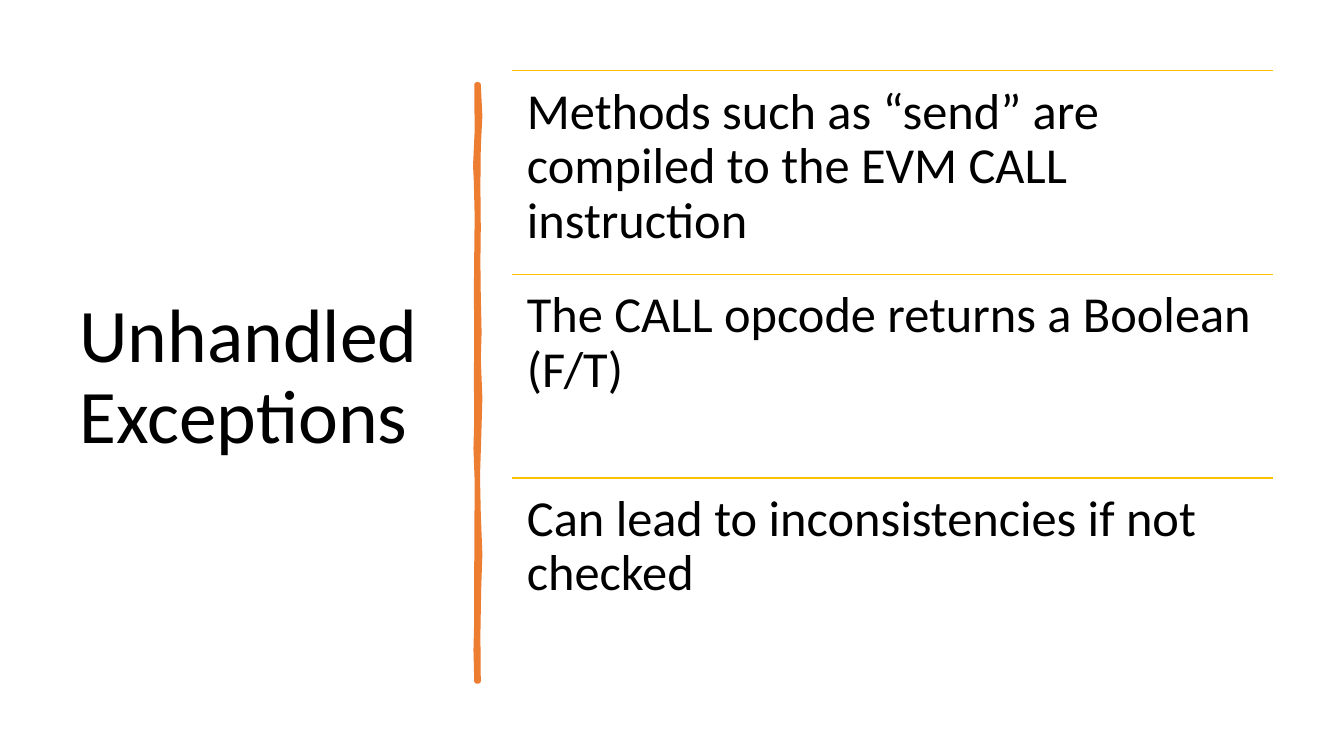
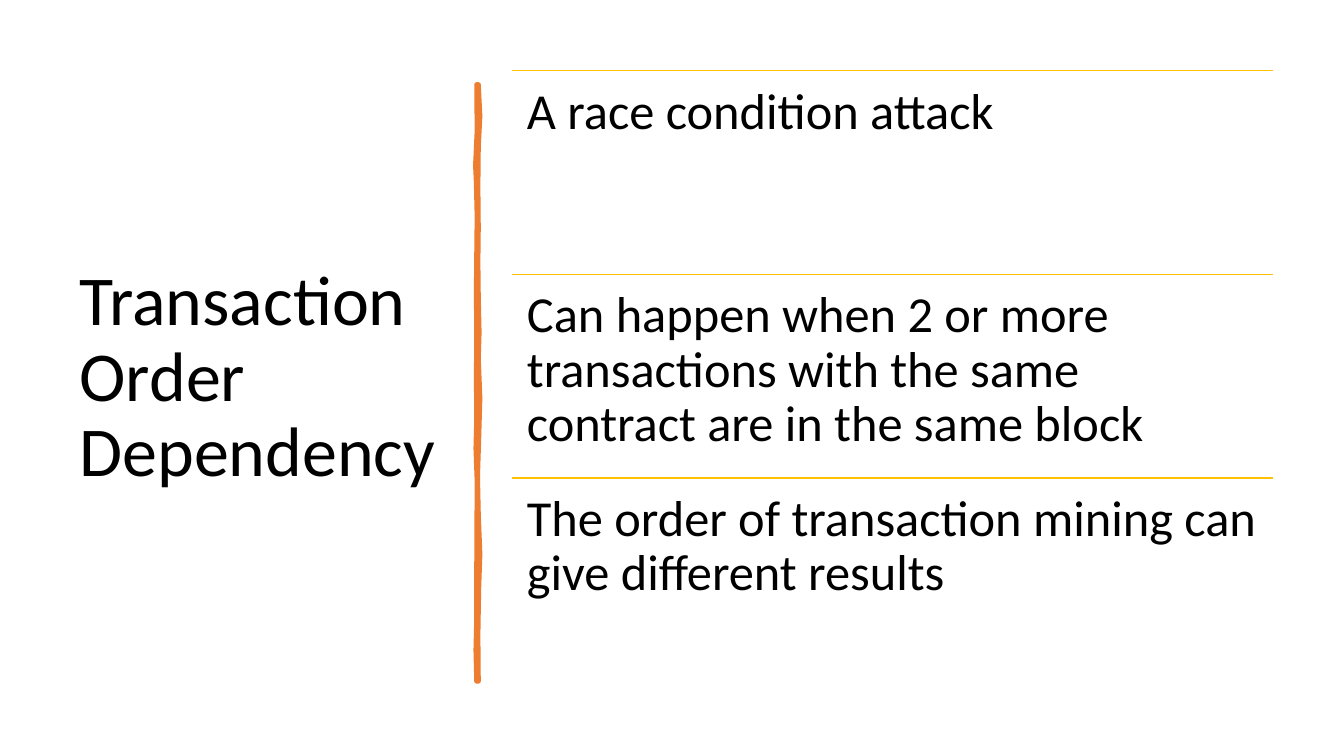
"""Build two slides on smart contract flaws: a title, a brushed divider and three ruled points."""
from lxml.etree import SubElement
from pptx import Presentation
from pptx.dml.color import RGBColor
from pptx.enum.shapes import MSO_CONNECTOR
from pptx.enum.text import MSO_ANCHOR, MSO_AUTO_SIZE, PP_ALIGN
from pptx.oxml.ns import qn
from pptx.util import Cm, Pt

FONT = "Calibri"
BLACK, ORANGE, GOLD = "000000", "ED7D31", "FFC000"
TOP, POINT_LEFT, POINT_WIDTH, POINT_HEIGHT = 1.78, 12.9, 19.18, 5.13
INSET = Cm(0.38)

DIVIDER_RIGHT = [
    (12.06, 2.13), (12.1, 2.92), (12.06, 3.71), (12.05, 4.7), (12.06, 5.74),
    (12.05, 6.6), (12.06, 7.47), (12.08, 8.38), (12.06, 9.04), (12.1, 10.03),
    (12.07, 11.07), (12.04, 12), (12.06, 12.95), (12.1, 13.97), (12.07, 14.83),
    (12.05, 16), (12.06, 17.17),
]
DIVIDER_LEFT = [
    (12.01, 17.17), (11.99, 16.38), (12.01, 15.57), (12.01, 14.15), (12.02, 12.12),
    (11.99, 11.3), (12.01, 10.54), (12, 9.5), (12.01, 8.51), (12, 7.37),
    (12.01, 6.35), (12.02, 5.46), (12, 4.6), (11.98, 4.17), (12.02, 3.3),
    (12.01, 2.13),
]

SLIDES = [
    ("Unhandled Exceptions", 54, [
        "Methods such as “send” are compiled to the EVM CALL instruction",
        "The CALL opcode returns a Boolean (F/T)",
        "Can lead to inconsistencies if not checked",
    ]),
    ("Transaction Order Dependency", 50, [
        "A race condition attack",
        "Can happen when 2 or more transactions with the same contract are in the same block",
        "The order of transaction mining can give different results",
    ]),
]


def color(hex_string):
    return RGBColor.from_string(hex_string)


def write(frame, text, size, anchor):
    frame.word_wrap = True
    frame.auto_size = MSO_AUTO_SIZE.NONE
    frame.vertical_anchor = anchor
    para = frame.paragraphs[0]
    para.alignment = PP_ALIGN.LEFT
    para.line_spacing = 0.9
    span = para.add_run()
    span.text = text
    span.font.name = FONT
    span.font.size = Pt(size)
    span.font.color.rgb = color(BLACK)


deck = Presentation()
deck.slide_width, deck.slide_height = Cm(33.87), Cm(19.05)

for heading, heading_size, points in SLIDES:
    page = deck.slides.add_slide(deck.slide_layouts[5])

    title = page.shapes.title
    title.left, title.top, title.width, title.height = Cm(1.75), Cm(TOP), Cm(9.5), Cm(15.52)
    write(title.text_frame, heading, heading_size, MSO_ANCHOR.MIDDLE)

    outline = [(Cm(x), Cm(y)) for x, y in DIVIDER_RIGHT + DIVIDER_LEFT]
    builder = page.shapes.build_freeform(*outline[0])
    builder.add_line_segments(outline[1:], close=True)
    divider = builder.convert_to_shape()
    divider.shadow.inherit = False
    divider.fill.solid()
    divider.fill.fore_color.rgb = color(ORANGE)
    divider.line.color.rgb = color(ORANGE)
    divider.line.width = Pt(3.25)
    SubElement(divider.line._get_or_add_ln(), qn("a:round"))

    for row, point in enumerate(points):
        top = Cm(TOP + row * POINT_HEIGHT)
        rule = page.shapes.add_connector(
            MSO_CONNECTOR.STRAIGHT, Cm(POINT_LEFT), top, Cm(POINT_LEFT + POINT_WIDTH), top)
        rule.line.color.rgb = color(GOLD)
        rule.line.width = Pt(1)
        SubElement(rule._element.spPr, qn("a:effectLst"))

        box = page.shapes.add_textbox(Cm(POINT_LEFT), top, Cm(POINT_WIDTH), Cm(POINT_HEIGHT))
        frame = box.text_frame
        frame.margin_left = frame.margin_right = INSET
        frame.margin_top = frame.margin_bottom = INSET
        write(frame, point, 36, MSO_ANCHOR.TOP)

deck.save("out.pptx")
